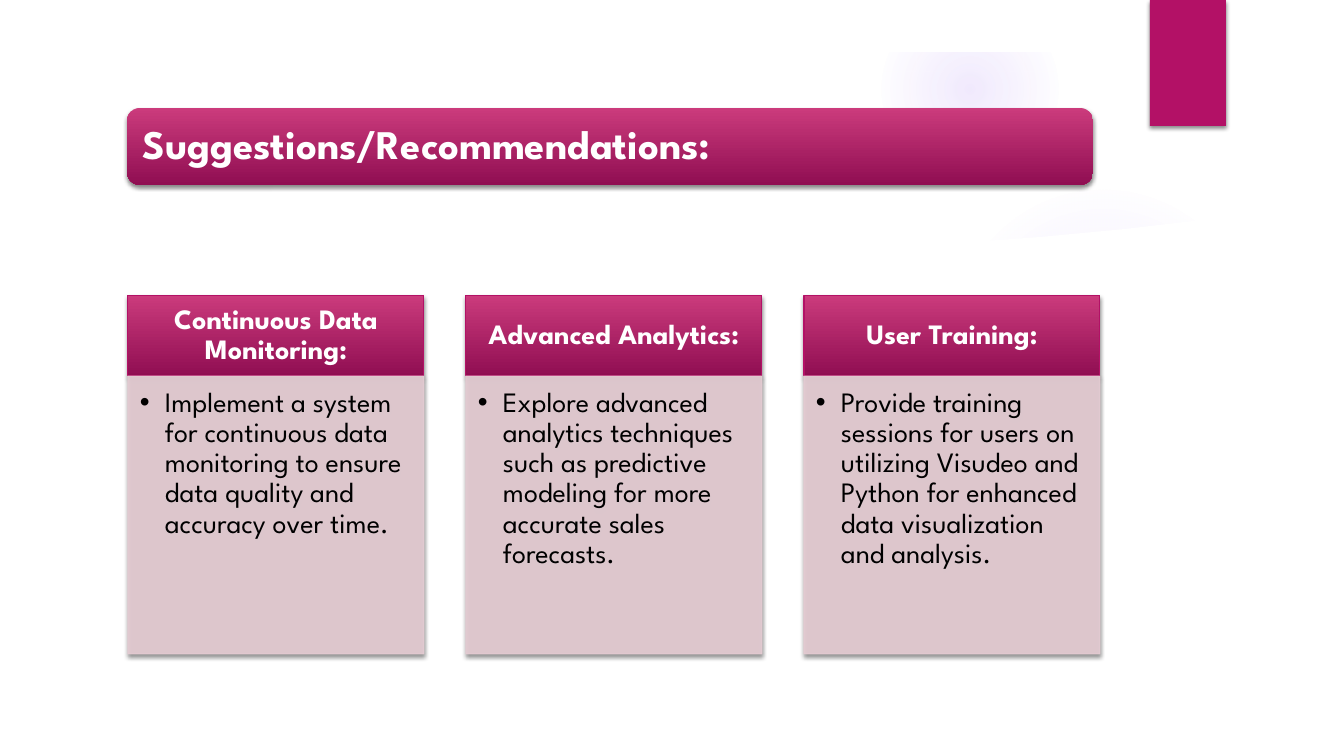
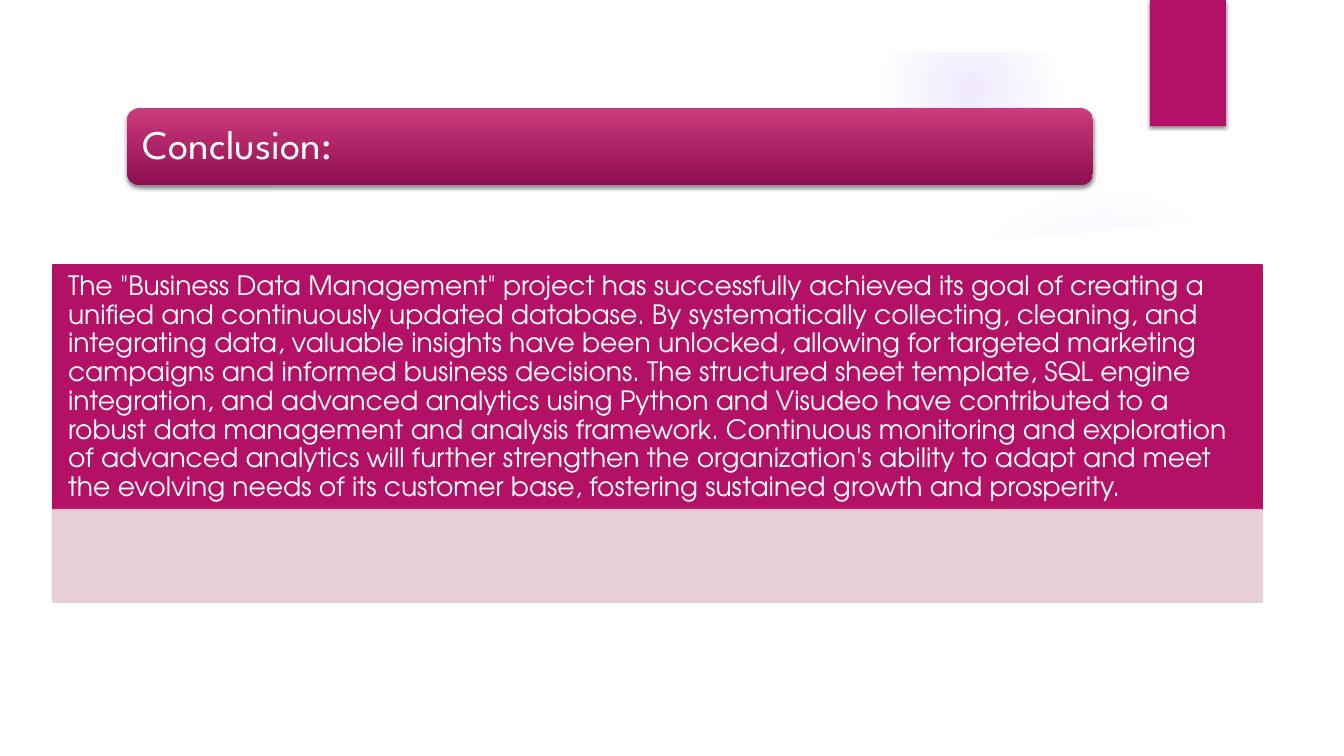
"""Build the recommendations and conclusion slides of the data management deck."""
from dataclasses import dataclass

from lxml.etree import SubElement
from pptx import Presentation
from pptx.dml.color import RGBColor as RGB
from pptx.enum.shapes import MSO_SHAPE as SHAPE
from pptx.enum.text import MSO_ANCHOR as ANCHOR, MSO_AUTO_SIZE as FIT, PP_ALIGN as ALIGN
from pptx.oxml import parse_xml
from pptx.oxml.ns import nsdecls, qn
from pptx.util import Pt

PX = 914400 / 100.8


def px(n):
    return round(n * PX)


@dataclass(frozen=True)
class Theme:
    accent: str = "B31166"
    bar_top: str = "CB3B7C"
    bar_foot: str = "900E52"
    tint: str = "E5CCD3"
    glow: str = "9B6BF2"
    white: str = "FFFFFF"
    black: str = "000000"
    font: str = "League Spartan"
    prose_font: str = "TeX Gyre Adventor"
    title_size: int = 29
    card_size: int = 20
    prose_size: int = 19


class Deck:
    def __init__(self, theme):
        self.theme = theme
        self.prs = Presentation()
        self.prs.slide_width, self.prs.slide_height = px(1344), px(756)
        self.layout = self.prs.slide_layouts[5]
        self.slide = None

    def new_slide(self, title, bold=False):
        self.slide = self.prs.slides.add_slide(self.layout)
        sp = self.slide.shapes.title
        sp.left, sp.top, sp.width, sp.height = map(px, (131, 112, 958, 69))
        self.set_text(sp, title, self.theme.title_size, bold=bold, insets=(12, 12, 12, 12))

    def shape(self, kind, box, color, **style):
        sp = self.slide.shapes.add_shape(kind, *map(px, box))
        return self.paint(sp, color, **style)

    def paint(self, sp, color, line=None, width=0.75, alpha=None, shadow=False):
        sp.fill.solid()
        sp.fill.fore_color.rgb = RGB.from_string(color)
        if line:
            sp.line.color.rgb = RGB.from_string(line)
            sp.line.width = Pt(width)
        else:
            sp.line.fill.background()
        sp_pr = sp.element.spPr
        if alpha:
            for clr in sp_pr.iter(qn("a:srgbClr")):
                SubElement(clr, qn("a:alpha"), val=str(alpha * 1000))
        sp.shadow.inherit = False
        if shadow:
            sp_pr.find(qn("a:effectLst")).append(parse_xml(
                f'<a:outerShdw {nsdecls("a")} blurRad="{Pt(3)}" dist="{Pt(2)}" dir="5400000" '
                f'rotWithShape="0"><a:srgbClr val="{self.theme.black}"><a:alpha val="45000"/>'
                '</a:srgbClr></a:outerShdw>'))
        return sp

    def gradient(self, sp, stops, direction):
        marks = "".join(
            f'<a:gs pos="{pos * 1000}"><a:srgbClr val="{color}">'
            f'<a:alpha val="{alpha * 1000}"/></a:srgbClr></a:gs>'
            for pos, color, alpha in stops)
        sp_pr = sp.element.spPr
        sp_pr.replace(sp_pr.find(qn("a:solidFill")), parse_xml(
            f'<a:gradFill {nsdecls("a")} rotWithShape="1"><a:gsLst>{marks}</a:gsLst>'
            f'{direction}</a:gradFill>'))
        return sp

    def bar(self, kind, box, line=None):
        t = self.theme
        sp = self.shape(kind, box, t.accent, line=line, shadow=True)
        stops = (0, t.bar_top, 100), (100, t.bar_foot, 100)
        return self.gradient(sp, stops, '<a:lin ang="5400000" scaled="0"/>')

    def glow(self, box, alphas, edge):
        color = self.theme.glow
        sp = self.shape(SHAPE.OVAL, box, color)
        stops = [(pos, color, alpha) for pos, alpha in zip((0, 36, edge), (*alphas, 0))]
        return self.gradient(
            sp, stops, '<a:path path="circle"><a:fillToRect l="50000" t="50000" '
            'r="50000" b="50000"/></a:path>')

    def panel(self, points):
        builder = self.slide.shapes.build_freeform(*points[0], scale=PX)
        builder.add_line_segments(points[1:], close=True)
        return self.paint(builder.convert_to_shape(), self.theme.white)

    def share_backdrop(self):
        curve = [(50, 206), (95, 212), (251, 229), (404, 240), (563, 248), (714, 250),
                 (847, 248), (957, 243), (1040, 237), (1125, 229), (1210, 219), (1294, 206)]
        t = self.theme
        backdrop = [
            self.glow((948, 184, 310, 310), (7, 6), 69),
            self.glow((882, 1, 176, 176), (14, 7), 73),
            self.panel(curve + [(1294, 706), (50, 706)]),
            self.shape(SHAPE.RECTANGLE, (0, 0, 1344, 52), t.white),
            self.shape(SHAPE.RECTANGLE, (1150, 0, 76, 126), t.accent, shadow=True),
            self.bar(SHAPE.ROUNDED_RECTANGLE, (127, 108, 966, 77)),
        ]
        for number, sp in enumerate(backdrop, 20):
            sp.element.nvSpPr.cNvPr.set("id", str(number))
            self.layout.shapes.element.append(sp.element)

    def set_text(self, sp, text, size, color=None, font=None, bold=False, align=ALIGN.LEFT,
                 anchor=ANCHOR.MIDDLE, insets=(16, 9, 16, 9), bullet=False):
        tf = sp.text_frame
        tf.word_wrap, tf.auto_size, tf.vertical_anchor = True, FIT.NONE, anchor
        tf.margin_left, tf.margin_top, tf.margin_right, tf.margin_bottom = map(px, insets)
        p = tf.paragraphs[0]
        p.text = text
        p.alignment, p.line_spacing, p.space_before = align, 0.9, Pt(0)
        if bullet:
            p_pr = p._p.get_or_add_pPr()
            p_pr.set("marL", str(px(25)))
            p_pr.set("indent", str(-px(25)))
            SubElement(p_pr, qn("a:buFont"), typeface="Arial")
            SubElement(p_pr, qn("a:buChar"), char="•")
        p.font.name, p.font.size, p.font.bold = font or self.theme.font, Pt(size), bold
        p.font.color.rgb = RGB.from_string(color or self.theme.white)

    def card(self, left, heading, body):
        t = self.theme
        head = self.bar(SHAPE.RECTANGLE, (left, 295, 296, 81), line=t.accent)
        self.set_text(head, heading, t.card_size, bold=True, align=ALIGN.CENTER)
        sp = self.shape(SHAPE.RECTANGLE, (left, 376, 296, 278), t.tint,
                        line=t.tint, alpha=90, shadow=True)
        self.set_text(sp, body, t.card_size, color=t.black, anchor=ANCHOR.TOP,
                      insets=(12, 12, 16, 17), bullet=True)

    def statement(self, text):
        t = self.theme
        sp = self.shape(SHAPE.RECTANGLE, (53, 265, 1209, 245), t.accent,
                        line=t.accent, width=1.5)
        self.set_text(sp, text, t.prose_size, font=t.prose_font, insets=(15, 8, 15, 8))
        self.shape(SHAPE.RECTANGLE, (53, 510, 1209, 92), t.tint,
                   line=t.tint, width=1.5, alpha=90)


CARDS = [
    ("Continuous Data Monitoring:",
     "Implement a system for continuous data monitoring to ensure data quality and "
     "accuracy over time."),
    ("Advanced Analytics:",
     "Explore advanced analytics techniques such as predictive modeling for more "
     "accurate sales forecasts."),
    ("User Training:",
     "Provide training sessions for users on utilizing Visudeo and Python for enhanced "
     "data visualization and analysis."),
]

CONCLUSION = (
    'The "Business Data Management" project has successfully achieved its goal of creating '
    "a unified and continuously updated database. By systematically collecting, cleaning, "
    "and integrating data, valuable insights have been unlocked, allowing for targeted "
    "marketing campaigns and informed business decisions. The structured sheet template, "
    "SQL engine integration, and advanced analytics using Python and Visudeo have "
    "contributed to a robust data management and analysis framework. Continuous monitoring "
    "and exploration of advanced analytics will further strengthen the organization's "
    "ability to adapt and meet the evolving needs of its customer base, fostering sustained "
    "growth and prosperity.")


def main():
    deck = Deck(Theme())
    deck.new_slide("Suggestions/Recommendations:", bold=True)
    deck.share_backdrop()
    for i, (heading, body) in enumerate(CARDS):
        deck.card(128 + 338 * i, heading, body)
    deck.new_slide("Conclusion:")
    deck.statement(CONCLUSION)
    deck.prs.save("out.pptx")


if __name__ == "__main__":
    main()
